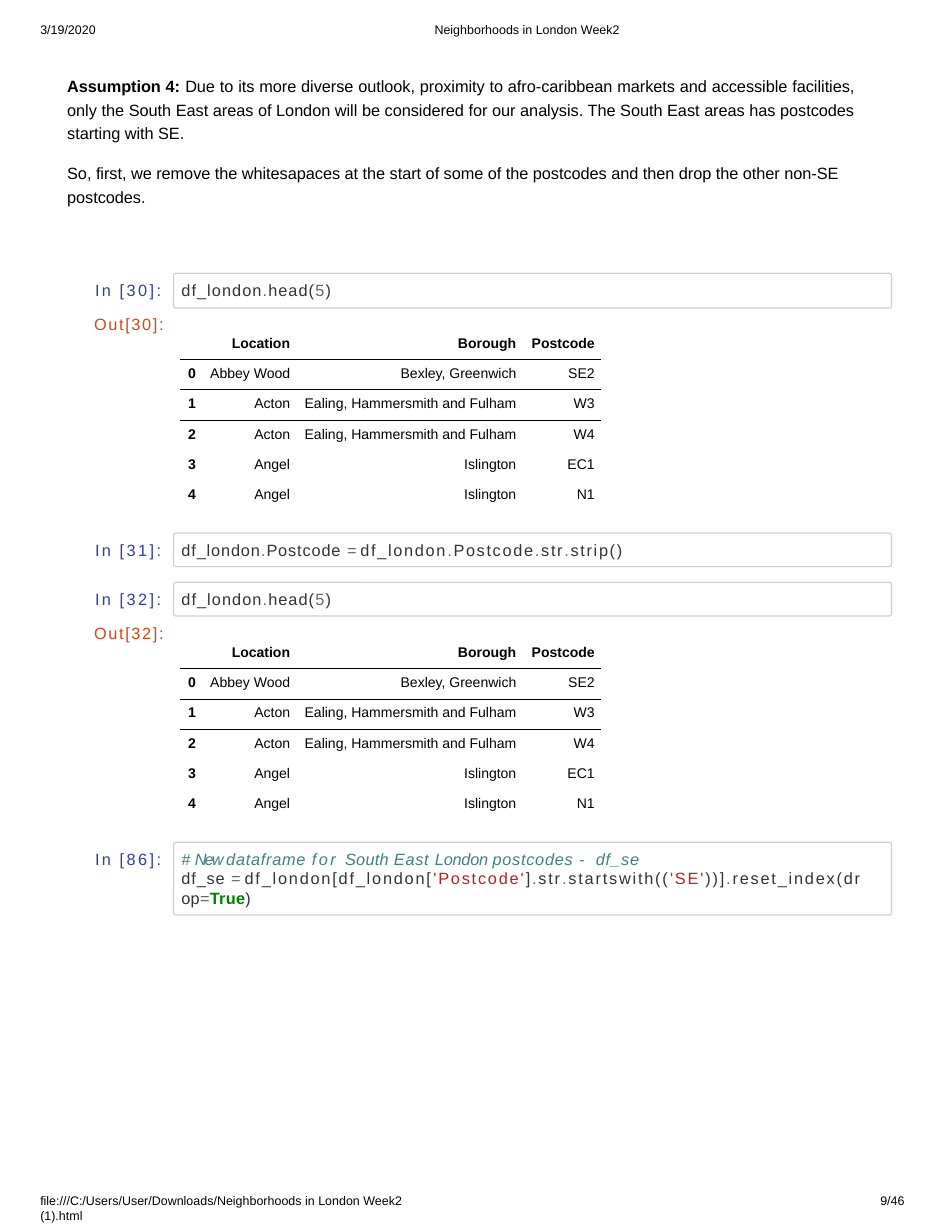
from dataclasses import dataclass

from lxml import etree
from pptx import Presentation
from pptx.dml.color import RGBColor
from pptx.enum.shapes import MSO_SHAPE
from pptx.enum.text import MSO_ANCHOR, MSO_AUTO_SIZE, PP_ALIGN
from pptx.oxml.ns import qn
from pptx.util import Inches, Pt

ROUNDED = MSO_SHAPE.ROUNDED_RECTANGLE
TOP = MSO_ANCHOR.TOP
NO_AUTOFIT = MSO_AUTO_SIZE.NONE
LEFT, RIGHT, JUSTIFY = PP_ALIGN.LEFT, PP_ALIGN.RIGHT, PP_ALIGN.JUSTIFY
PLAIN_TABLE = "{2D5ABB26-0587-4C30-8999-92F81FD0307C}"


@dataclass(frozen=True)
class Theme:
    """Colours and type sizes of the notebook page."""
    font: str = "Arial"
    ink: str = "000000"
    prompt: str = "2F3F9E"
    output: str = "D84215"
    code: str = "333333"
    operator: str = "666666"
    string: str = "B92020"
    comment: str = "408080"
    keyword: str = "008000"
    frame: str = "CFCFCF"
    body: float = 10.5
    cell: int = 9
    margin: float = 8


THEME = Theme()

# Code is a list of lines; a line is a list of (text, colour role, letter spacing).
HEAD_CODE = [[("df_london", "code", 0.7), (".", "operator", 0.7), ("head(", "code", 0.7),
              ("5", "operator", 0.7), (")", "code", 0.7)]]
STRIP_CODE = [[("df_london", "code", 0.6), (".", "operator", 0.6), ("Postcode ", "code", 0.6),
               ("= ", "operator", -0.4), ("df_london", "code", 1.1), (".", "operator", 1.1),
               ("Postcode", "code", 1.1), (".", "operator", 1.1), ("str", "code", 1.1),
               (".", "operator", 1.1), ("strip()", "code", 1.1)]]
FILTER_CODE = [
    [("# ", "comment", -0.1), ("New ", "comment", -1.2), ("dataframe ", "comment", 0.5),
     ("for ", "comment", 1.6), ("South ", "comment", 0.2), ("East ", "comment", 0.5),
     ("London ", "comment", -0.1), ("postcodes ", "comment", 0.5), ("- ", "comment", 2.2),
     ("df_se", "comment", 0.6)],
    [("df_se ", "code", 0.6), ("= ", "operator", -0.4), ("df_london[df_london[", "code", 1.2),
     ("'Postcode'", "string", 1.2), ("]", "code", 1.2), (".", "operator", 1.2),
     ("str", "code", 1.2), (".", "operator", 1.2), ("startswith((", "code", 1.2),
     ("'SE'", "string", 1.2), ("))]", "code", 1.2), (".", "operator", 1.2),
     ("reset_index(dr", "code", 1.2)],
    [("op", "code", 0.2), ("=", "operator", 0.2), ("True", "keyword", 0.2), (")", "code", 0.2)],
]
# Prompt number, frame top, frame height, code, whether a table follows.
NOTEBOOK_CELLS = [
    (30, 2.44, 0.31, HEAD_CODE, True),
    (31, 4.76, 0.3, STRIP_CODE, False),
    (32, 5.2, 0.3, HEAD_CODE, True),
    (86, 7.52, 0.65, FILTER_CODE, False),
]
LONDON_ROWS = [
    ("", "Location", "Borough", "Postcode"),
    ("0", "Abbey Wood", "Bexley, Greenwich", "SE2"),
    ("1", "Acton", "Ealing, Hammersmith and Fulham", "W3"),
    ("2", "Acton", "Ealing, Hammersmith and Fulham", "W4"),
    ("3", "Angel", "Islington", "EC1"),
    ("4", "Angel", "Islington", "N1"),
]
COLUMN_WIDTHS = [0.8, 0.2, 0.84, 2.02, 0.7]
ROW_HEIGHTS = [0.15, 0.22, 0.27, 0.27, 0.27, 0.27, 0.21]


def add_span(para, text, size=THEME.body, color=THEME.ink, bold=False, italic=False, spacing=0):
    """Append formatted text to a paragraph."""
    span = para.add_run()
    span.text = text
    font = span.font
    font.name, font.size, font.bold, font.italic = THEME.font, Pt(size), bold, italic
    font.color.rgb = RGBColor.from_string(color)
    if spacing:
        span._r.get_or_add_rPr().set("spc", str(round(spacing * 100)))


def set_frame(frame, inset_left=0.01, inset_top=0.02):
    """Give a text frame its insets and top anchor, and return its first paragraph."""
    frame.word_wrap, frame.auto_size = True, NO_AUTOFIT
    frame.vertical_anchor = TOP
    frame.margin_left, frame.margin_top = Inches(inset_left), Inches(inset_top)
    frame.margin_right = frame.margin_bottom = 0
    para = frame.paragraphs[0]
    para.alignment = LEFT
    return para


def add_box(page, left, top, width, height, **insets):
    """Add a text box and return its first paragraph and its frame."""
    box = page.shapes.add_textbox(Inches(left), Inches(top), Inches(width), Inches(height))
    return set_frame(box.text_frame, **insets), box.text_frame


def add_margins(page):
    """Place the page header, with its title, and the page footer."""
    title = page.shapes.title
    title.left, title.top = Inches(3.87), Inches(0.18)
    title.width, title.height = Inches(1.75), Inches(0.16)
    add_span(set_frame(title.text_frame), "Neighborhoods in London Week2", size=THEME.margin)
    address = "file:///C:/Users/User/Downloads/Neighborhoods in London Week2 (1).html"
    for text, left, top, width, height, inset in (
            ("3/19/2020", 0.35, 0.18, 0.6, 0.16, 0.02),
            (address, 0.35, 10.65, 3.6, 0.28, 0),
            ("9/46", 7.85, 10.65, 0.33, 0.15, 0)):
        para, _ = add_box(page, left, top, width, height, inset_top=inset)
        add_span(para, text, size=THEME.margin)


def add_assumption(page, left, top, width, height):
    """Place the two introductory paragraphs."""
    first, frame = add_box(page, left, top, width, height)
    first.alignment, first.line_spacing = JUSTIFY, 1.19
    add_span(first, "Assumption 4: ", bold=True)
    add_span(first, "Due to its more diverse outlook, proximity to afro-caribbean markets and "
                    "accessible facilities, only the South East areas of London will be considered "
                    "for our analysis. The South East areas has postcodes starting with SE.")
    second = frame.add_paragraph()
    second.line_spacing, second.space_before = 1.19, Pt(11)
    add_span(second, "So, first, we remove the whitesapaces at the start of some of the postcodes "
                     "and then drop the other non-SE postcodes.")


def add_code_cell(page, left, top, height, number, code):
    """Place an input prompt and its framed code."""
    para, _ = add_box(page, left, top + 0.04, 0.71, 0.2)
    add_span(para, "In ", color=THEME.prompt, spacing=1.4)
    add_span(para, f"[{number}]:", color=THEME.prompt, spacing=1.6)

    outline = page.shapes.add_shape(ROUNDED, Inches(left + 0.71), Inches(top),
                                    Inches(6.41), Inches(height))
    outline.shadow.inherit = False
    outline.adjustments[0] = 0.02 / height
    outline.fill.background()
    outline.line.color.rgb = RGBColor.from_string(THEME.frame)
    outline.line.width = Pt(0.75)

    para, frame = add_box(page, left + 0.73, top + 0.04, 6.38, height - 0.1, inset_left=0.05)
    for index, line in enumerate(code):
        if index:
            para = frame.add_paragraph()
        for text, role, spacing in line:
            add_span(para, text, color=getattr(THEME, role), spacing=spacing,
                     bold=role == "keyword", italic=role == "comment")


def add_rule(cell, side):
    """Draw a thin black border on one side of a table cell."""
    rule = etree.Element(qn(f"a:{side}"), w=str(Pt(0.75)))
    fill = etree.SubElement(rule, qn("a:solidFill"))
    etree.SubElement(fill, qn("a:srgbClr"), val=THEME.ink)
    properties = cell._tc.get_or_add_tcPr()
    properties.insert(len(properties.findall(qn("a:lnT"))), rule)


def add_output_table(page, left, top, number):
    """Place an output prompt and the data frame as one table."""
    shape = page.shapes.add_table(len(ROW_HEIGHTS), len(COLUMN_WIDTHS), Inches(left), Inches(top),
                                  Inches(sum(COLUMN_WIDTHS)), Inches(sum(ROW_HEIGHTS)))
    table = shape.table
    table.first_row = table.horz_banding = False
    table._tbl.tblPr.find(qn("a:tableStyleId")).text = PLAIN_TABLE
    for column, width in zip(table.columns, COLUMN_WIDTHS):
        column.width = Inches(width)
    grid = [(f"Out[{number}]:", "", "", "", "")] + [("",) + row for row in LONDON_ROWS]
    for row, (height, texts) in enumerate(zip(ROW_HEIGHTS, grid)):
        table.rows[row].height = Inches(height)
        for column, text in enumerate(texts):
            cell = table.cell(row, column)
            cell.fill.background()
            cell.vertical_anchor = TOP
            cell.margin_left = Inches(0 if row else 0.03)
            cell.margin_right = Inches(0.06 if row else 0)
            cell.margin_top = Inches(0.05 if row > 1 else 0)
            cell.margin_bottom = 0
            para = cell.text_frame.paragraphs[0]
            para.line_spacing = Pt(10.5 if row else 10)
            if not text:
                etree.SubElement(para._p, qn("a:endParaRPr"), sz=str(THEME.cell * 100))
            elif row == 0:
                add_span(para, text, color=THEME.output, spacing=1.1)
            else:
                para.alignment = RIGHT
                add_span(para, text, size=THEME.cell, bold=row == 1 or column == 1)
            if column and row in (2, 3):
                add_rule(cell, "lnT")
            if column and row in (1, 2):
                add_rule(cell, "lnB")
    table.cell(0, 1).merge(table.cell(0, 4))


def build_page(deck):
    """Build the notebook page."""
    page = deck.slides.add_slide(deck.slide_layouts[5])
    add_margins(page)
    add_assumption(page, 0.59, 0.63, 7.05, 1.22)
    for number, top, height, code, has_output in NOTEBOOK_CELLS:
        add_code_cell(page, 0.84, top, height, number, code)
        if has_output:
            add_output_table(page, 0.81, top + 0.4, number)


deck = Presentation()
deck.slide_width, deck.slide_height = Inches(8.5), Inches(11)
build_page(deck)
deck.save("out.pptx")
